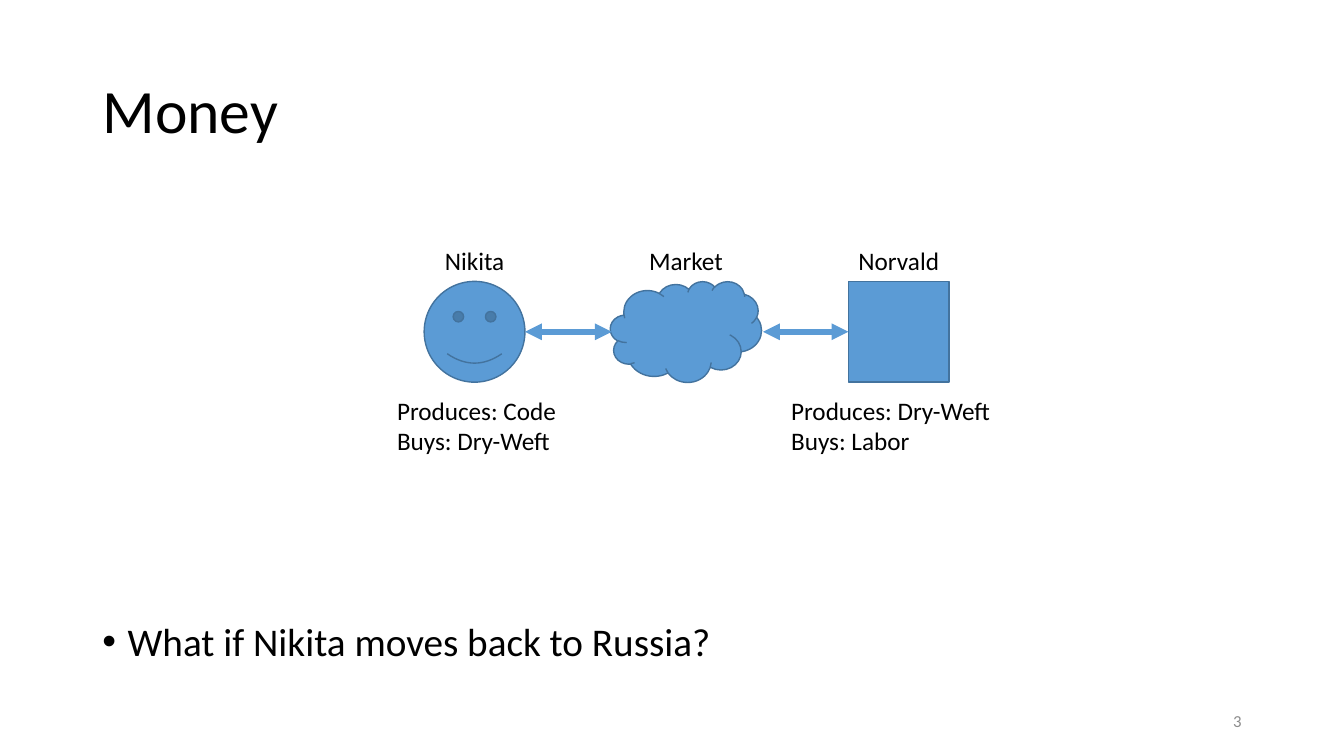
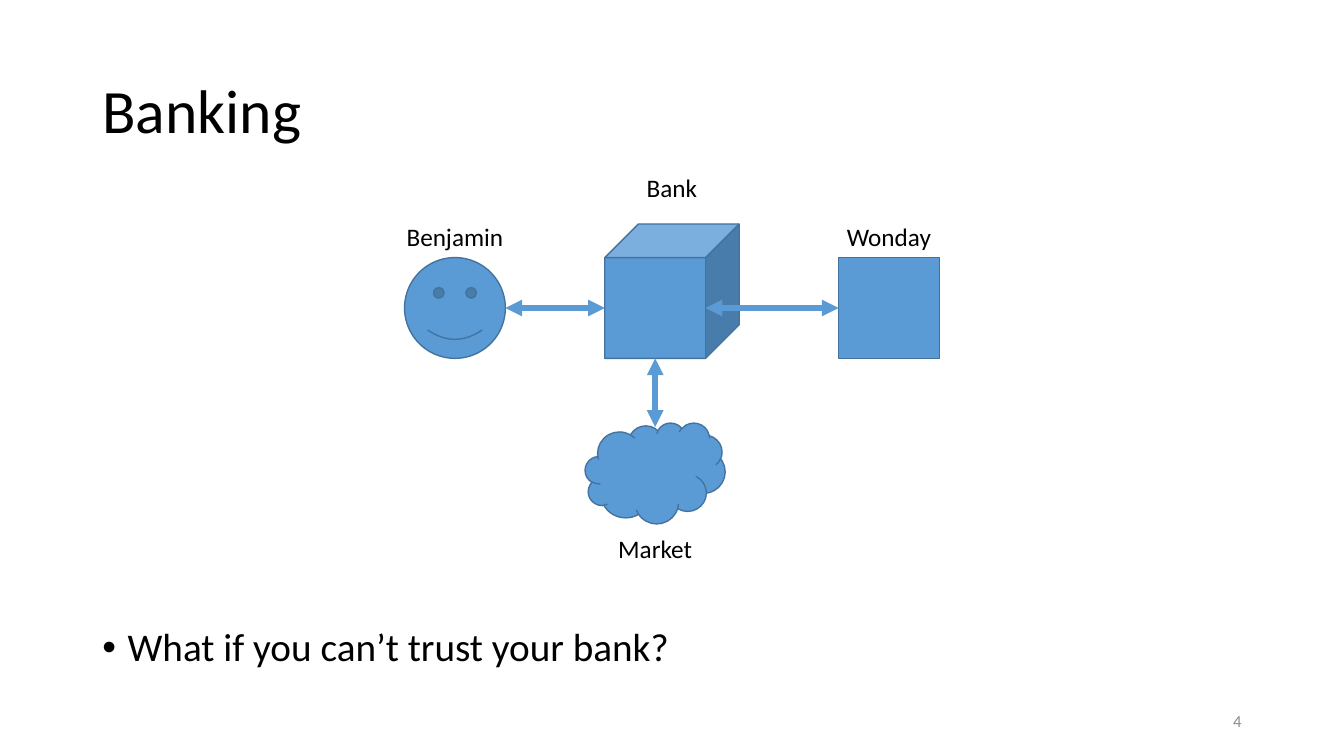
import pptx
import pptx.dml.color
import pptx.enum.shapes
import pptx.enum.text
import pptx.oxml
import pptx.util
from lxml import etree

Pt = pptx.util.Pt
SHAPE = pptx.enum.shapes.MSO_SHAPE
ALIGN = pptx.enum.text.PP_ALIGN
ANCHOR = pptx.enum.text.MSO_ANCHOR
DRAWING = "{http://schemas.openxmlformats.org/drawingml/2006/main}"
FONT = "Calibri"
COLORS = {
    name: pptx.dml.color.RGBColor.from_string(value)
    for name, value in {
        "text": "000000",
        "number": "8C8C8C",
        "fill": "5B9BD5",
        "outline": "43739E",
    }.items()
}
LABEL_WIDTH, LABEL_HEIGHT = 108, 29

# Actors: name, shape, left, top, width, height, label top.
# Arrows: start x, start y, end x, end y, actor joined at its left side.
SLIDES = [
    {
        "title": "Money",
        "number": "3",
        "question": "What if Nikita moves back to Russia?",
        "question_top": 441,
        "actors": [
            ("Nikita", SHAPE.SMILEY_FACE, 303, 201, 72, 72, 171.5),
            ("Market", SHAPE.CLOUD, 436, 201, 108, 72, 171.5),
            ("Norvald", SHAPE.RECTANGLE, 606, 201, 72, 72, 171.5),
        ],
        "arrows": [(375, 237, 437, 237, None), (545, 237, 606, 237, "Norvald")],
        "notes": [
            (276.5, "Produces: Code\nBuys: Dry-Weft"),
            (558, "Produces: Dry-Weft\nBuys: Labor"),
        ],
    },
    {
        "title": "Banking",
        "number": "4",
        "question": "What if you can’t trust your bank?",
        "question_top": 445,
        "actors": [
            ("Benjamin", SHAPE.SMILEY_FACE, 289, 184, 72, 72, 154.5),
            ("Wonday", SHAPE.RECTANGLE, 599, 184, 72, 72, 154.5),
            ("Bank", SHAPE.CUBE, 432, 160, 96, 96, 119.5),
            ("Market", SHAPE.CLOUD, 418, 302, 100, 72, 377.5),
        ],
        "arrows": [
            (361, 220, 432, 220, None),
            (504, 220, 599, 220, "Wonday"),
            (468, 256, 468, 305, None),
        ],
        "notes": [],
    },
]


def format_text(frame, size, color="text", align=ALIGN.LEFT, anchor=ANCHOR.TOP):
    frame.word_wrap = True
    frame.auto_size = pptx.enum.text.MSO_AUTO_SIZE.NONE
    frame.vertical_anchor = anchor
    for para in frame.paragraphs:
        para.alignment = align
        for span in para.runs:
            span.font.name = FONT
            span.font.size = Pt(size)
            span.font.color.rgb = COLORS[color]


def add_text(page, text, left, top, width, height, size=18, **style):
    box = page.shapes.add_textbox(Pt(left), Pt(top), Pt(width), Pt(height))
    box.text_frame.text = text
    format_text(box.text_frame, size, **style)


deck = pptx.Presentation()
deck.slide_width, deck.slide_height = Pt(960), Pt(540)

for content in SLIDES:
    page = deck.slides.add_slide(deck.slide_layouts[1])

    title = page.shapes.title
    title.left, title.top, title.width, title.height = Pt(66), Pt(29), Pt(828), Pt(104)
    title.text_frame.text = content["title"]
    title.text_frame.paragraphs[0].line_spacing = 0.9
    format_text(title.text_frame, 44, anchor=ANCHOR.MIDDLE)

    body = page.placeholders[1]
    top = content["question_top"]
    body.left, body.top, body.width, body.height = Pt(66), Pt(top), Pt(828), Pt(487 - top)
    body.text_frame.text = content["question"]
    para = body.text_frame.paragraphs[0]
    para.line_spacing = 0.9
    para.space_before = Pt(10)
    format_text(body.text_frame, 28)
    properties = para._p.get_or_add_pPr()
    properties.set("marL", str(Pt(18)))
    properties.set("indent", str(-Pt(18)))
    etree.SubElement(properties, DRAWING + "buFont", typeface="Arial")
    etree.SubElement(properties, DRAWING + "buChar", char="•")

    add_text(page, content["number"], 678, 500.5, 216, 29, size=12,
             color="number", align=ALIGN.RIGHT, anchor=ANCHOR.MIDDLE)

    actors = {}
    for name, kind, left, top, width, height, label_top in content["actors"]:
        actor = page.shapes.add_shape(kind, Pt(left), Pt(top), Pt(width), Pt(height))
        actor.shadow.inherit = False
        actor.fill.solid()
        actor.fill.fore_color.rgb = COLORS["fill"]
        actor.line.color.rgb = COLORS["outline"]
        actor.line.width = Pt(1)
        actors[name] = actor
        add_text(page, name, left + (width - LABEL_WIDTH) / 2, label_top,
                 LABEL_WIDTH, LABEL_HEIGHT, align=ALIGN.CENTER)

    for start_x, start_y, end_x, end_y, joined in content["arrows"]:
        arrow = page.shapes.add_connector(
            pptx.enum.shapes.MSO_CONNECTOR.STRAIGHT,
            Pt(start_x), Pt(start_y), Pt(end_x), Pt(end_y))
        if joined:
            arrow.end_connect(actors[joined], 1)
        arrow.line.color.rgb = COLORS["fill"]
        arrow.line.width = Pt(4)
        line = arrow.line._get_or_add_ln()
        for end in ("headEnd", "tailEnd"):
            etree.SubElement(line, DRAWING + end, type="triangle")
        etree.SubElement(arrow._element.spPr, DRAWING + "effectLst")

    for left, text in content["notes"]:
        add_text(page, text, left, 278.5, 168, 51)

deck.save("out.pptx")
